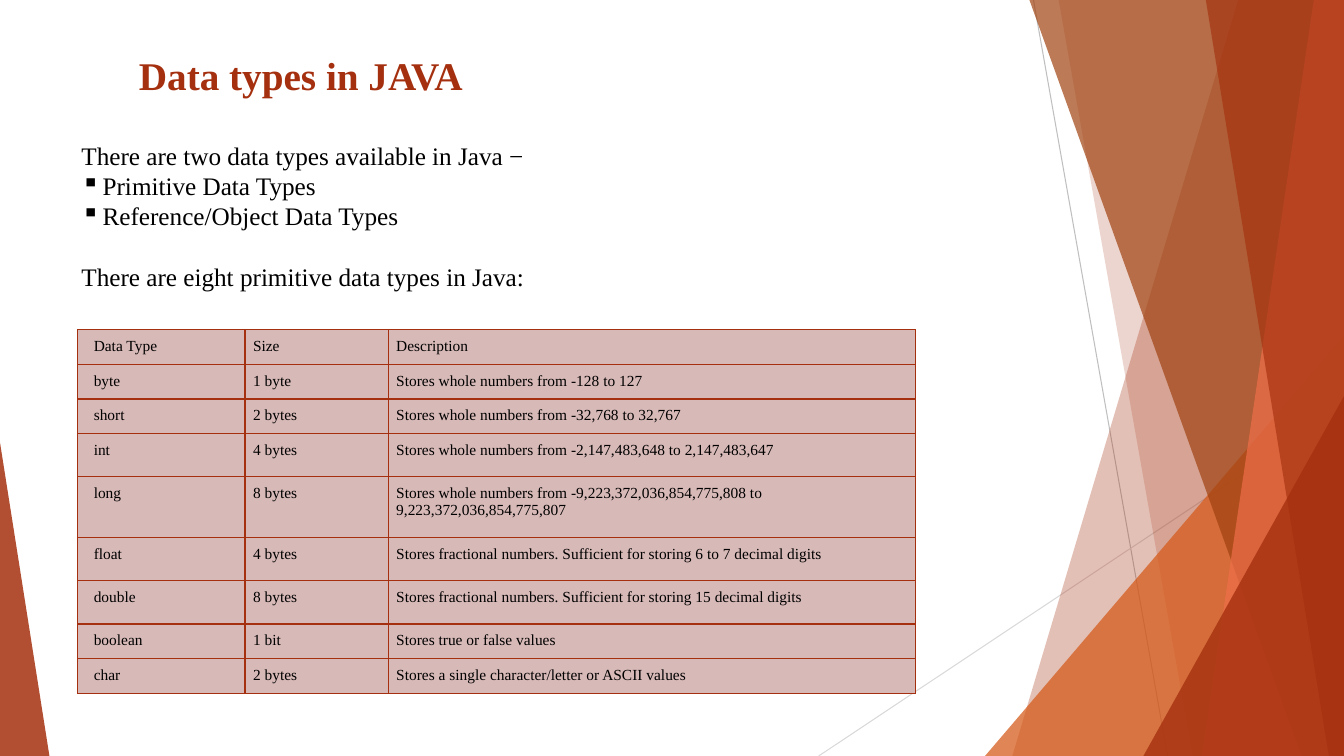
"""Build the slide on data types in Java."""
from lxml import etree
from pptx import Presentation
from pptx import util as u
from pptx.dml.color import RGBColor
from pptx.enum import shapes, text
from pptx.oxml.ns import qn

TITLE = "Data types in JAVA"
BODY = [
    {"text": "There are two data types available in Java −"},
    {"text": "Primitive Data Types", "bullet": True},
    {"text": "Reference/Object Data Types", "bullet": True},
    {"text": "There are eight primitive data types in Java:", "before": 21.6},
]
ROWS = [
    ("Data Type", "Size", "Description"),
    ("byte", "1 byte", "Stores whole numbers from -128 to 127"),
    ("short", "2 bytes", "Stores whole numbers from -32,768 to 32,767"),
    ("int", "4 bytes", "Stores whole numbers from -2,147,483,648 to 2,147,483,647"),
    ("long", "8 bytes", "Stores whole numbers from -9,223,372,036,854,775,808 to "
                        "9,223,372,036,854,775,807"),
    ("float", "4 bytes", "Stores fractional numbers. Sufficient for storing 6 to 7 decimal digits"),
    ("double", "8 bytes", "Stores fractional numbers. Sufficient for storing 15 decimal digits"),
    ("boolean", "1 bit", "Stores true or false values"),
    ("char", "2 bytes", "Stores a single character/letter or ASCII values"),
]
COLUMN_WIDTHS = (1.66, 1.42, 5.23)
ROW_HEIGHT = 0.34
TALL_ROWS = {"int": 0.43, "long": 0.6, "float": 0.43, "double": 0.43}

FONT = "Times New Roman"
BLACK = RGBColor(0x00, 0x00, 0x00)
RUST = RGBColor(0xA5, 0x30, 0x0F)
ORANGE = RGBColor(0xD5, 0x58, 0x16)
BROWN = RGBColor(0xA0, 0x42, 0x10)
CORAL = RGBColor(0xEE, 0x6E, 0x4A)
ROSE = RGBColor(0xD7, 0xB9, 0xB7)
GRAY = RGBColor(0xBF, 0xBF, 0xBF)
PALE_GRAY = RGBColor(0xD9, 0xD9, 0xD9)

WIDTH, HEIGHT = 13.33, 7.5
LINES = [
    ((10.25, 0), (11.58, HEIGHT), GRAY),
    ((WIDTH, 4.03), (8.12, HEIGHT), PALE_GRAY),
]
DECORATIONS = [
    {"band": (12.28, 10.04), "color": RUST, "opacity": 30},
    {"band": (10.5, 11.83), "color": RUST, "opacity": 20},
    {"triangle": (9.77, 3.33, 3.56), "apex": 1, "color": ORANGE, "opacity": 72},
    {"band": (10.21, 12.91), "color": BROWN, "opacity": 70},
    {"band": (13.03, 11.92), "color": CORAL, "opacity": 70},
    {"band": (11.96, 13.18), "color": RUST, "opacity": 65},
    {"triangle": (11.34, 3.93, 1.99), "apex": 1, "color": RUST, "opacity": 80},
    {"triangle": (0, 4.39, 0.49), "apex": 0, "color": RUST, "opacity": 85},
]


def inches(*values):
    return [u.Inches(value) for value in values]


def write(paragraph, content, color=BLACK, **formats):
    run = paragraph.add_run()
    run.text = content
    run.font.color.rgb = color
    for name, value in {"name": FONT, **formats}.items():
        setattr(run.font, name, value)


def add_line(slide, start, end, color):
    line = slide.shapes.add_connector(
        shapes.MSO_CONNECTOR.STRAIGHT, *inches(*start, *end))
    line.line.color.rgb = color
    line.line.width = u.Pt(0.75)
    etree.SubElement(line._element.spPr, qn("a:effectLst"))


def add_band(slide, top_left, bottom_left):
    corners = [(WIDTH, 0), (WIDTH, HEIGHT), (bottom_left, HEIGHT)]
    builder = slide.shapes.build_freeform(*inches(top_left, 0))
    builder.add_line_segments([inches(*corner) for corner in corners], close=True)
    return builder.convert_to_shape()


def add_triangle(slide, left, top, width, apex):
    shape = slide.shapes.add_shape(
        shapes.MSO_SHAPE.ISOSCELES_TRIANGLE, *inches(left, top, width, HEIGHT - top))
    shape.adjustments[0] = apex
    return shape


def add_decoration(slide, item):
    if "band" in item:
        shape = add_band(slide, *item["band"])
    else:
        shape = add_triangle(slide, *item["triangle"], item["apex"])
    shape.shadow.inherit = False
    shape.line.fill.background()
    shape.fill.solid()
    shape.fill.fore_color.rgb = item["color"]
    color = shape._element.spPr.find(".//" + qn("a:srgbClr"))
    etree.SubElement(color, qn("a:alpha"), val=str(item["opacity"] * 1000))


def add_text_frame(slide, *box):
    frame = slide.shapes.add_textbox(*inches(*box)).text_frame
    frame.word_wrap = True
    return frame


def add_body(slide):
    frame = add_text_frame(slide, 0.71, 1.34, 9.83, 1.85)
    for index, item in enumerate(BODY):
        paragraph = frame.add_paragraph() if index else frame.paragraphs[0]
        paragraph.line_spacing = u.Pt(21.6)
        paragraph.space_before = u.Pt(item.get("before", 0))
        if item.get("bullet"):
            properties = paragraph._p.get_or_add_pPr()
            indent = u.Inches(0.21)
            properties.set("marL", str(indent))
            properties.set("indent", str(-indent))
            etree.SubElement(properties, qn("a:buChar"), char="▪")
        write(paragraph, item["text"], size=u.Pt(18))


def add_borders(cell):
    properties = cell._tc.get_or_add_tcPr()
    for position, side in enumerate(("lnL", "lnR", "lnT", "lnB")):
        border = etree.Element(qn("a:" + side), w=str(u.Pt(1)))
        fill = etree.SubElement(border, qn("a:solidFill"))
        etree.SubElement(fill, qn("a:srgbClr"), val=str(RUST))
        properties.insert(position, border)


def add_types_table(slide):
    heights = [TALL_ROWS.get(row[0], ROW_HEIGHT) for row in ROWS]
    table = slide.shapes.add_table(
        len(ROWS), len(COLUMN_WIDTHS),
        *inches(0.77, 3.27, sum(COLUMN_WIDTHS), sum(heights))).table
    for column, width in zip(table.columns, COLUMN_WIDTHS):
        column.width = u.Inches(width)
    for row_index, (values, height) in enumerate(zip(ROWS, heights)):
        table.rows[row_index].height = u.Inches(height)
        for column_index, value in enumerate(values):
            cell = table.cell(row_index, column_index)
            margins = {"left": 0.08 if column_index else 0.16,
                       "right": 0.08, "top": 0.08, "bottom": 0.08}
            for side, margin in margins.items():
                setattr(cell, "margin_" + side, u.Inches(margin))
            cell.fill.solid()
            cell.fill.fore_color.rgb = ROSE
            add_borders(cell)
            write(cell.text_frame.paragraphs[0], value, size=u.Pt(11), bold=False)


def main():
    presentation = Presentation()
    presentation.slide_width, presentation.slide_height = inches(WIDTH, HEIGHT)
    slide = presentation.slides.add_slide(presentation.slide_layouts[6])
    for line in LINES:
        add_line(slide, *line)
    for item in DECORATIONS:
        add_decoration(slide, item)
    title = add_text_frame(slide, 1.28, 0.43, 7.27, 0.62)
    title.vertical_anchor = text.MSO_ANCHOR.MIDDLE
    write(title.paragraphs[0], TITLE, RUST, size=u.Pt(28), bold=True)
    add_body(slide)
    add_types_table(slide)
    presentation.save("out.pptx")


if __name__ == "__main__":
    main()
